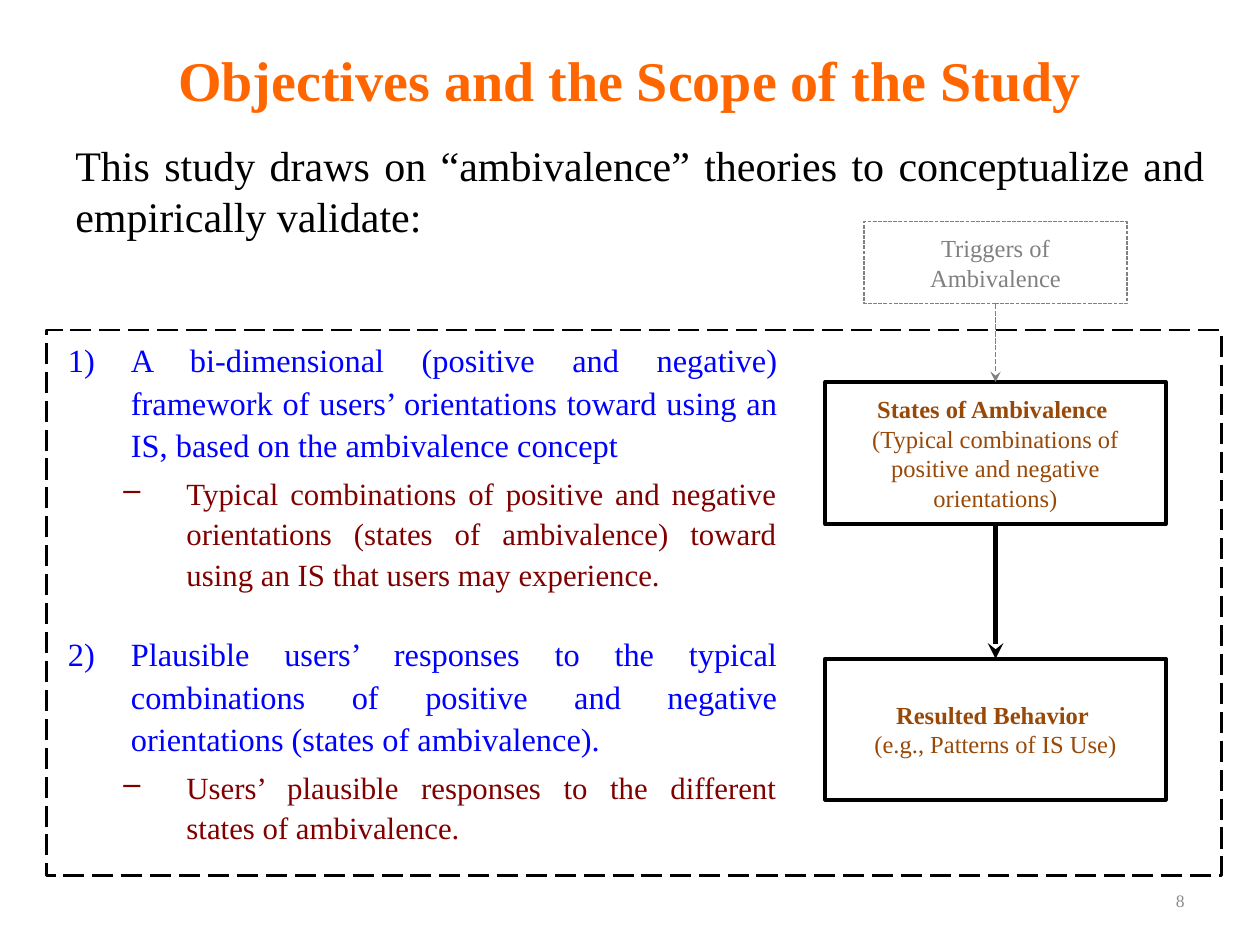
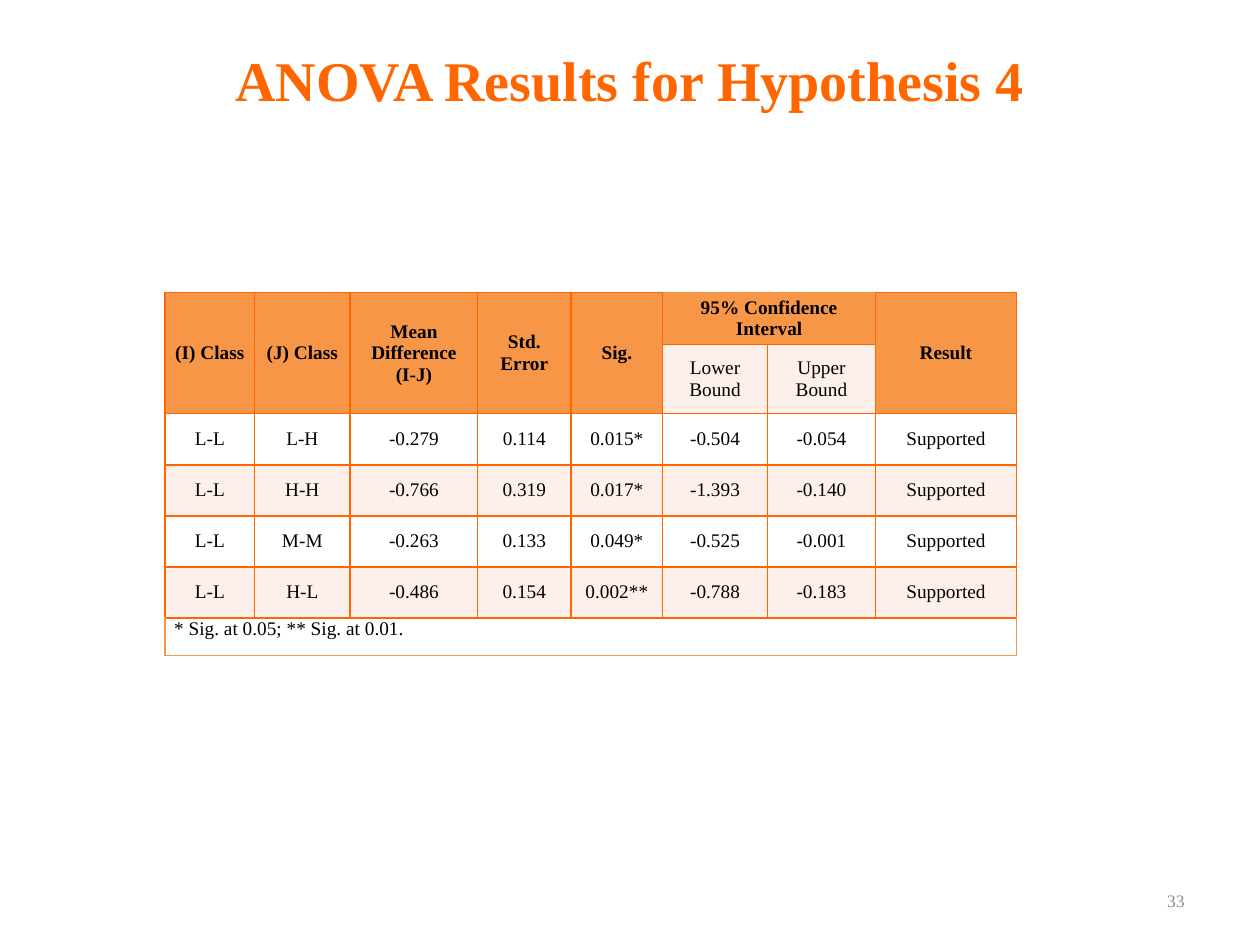
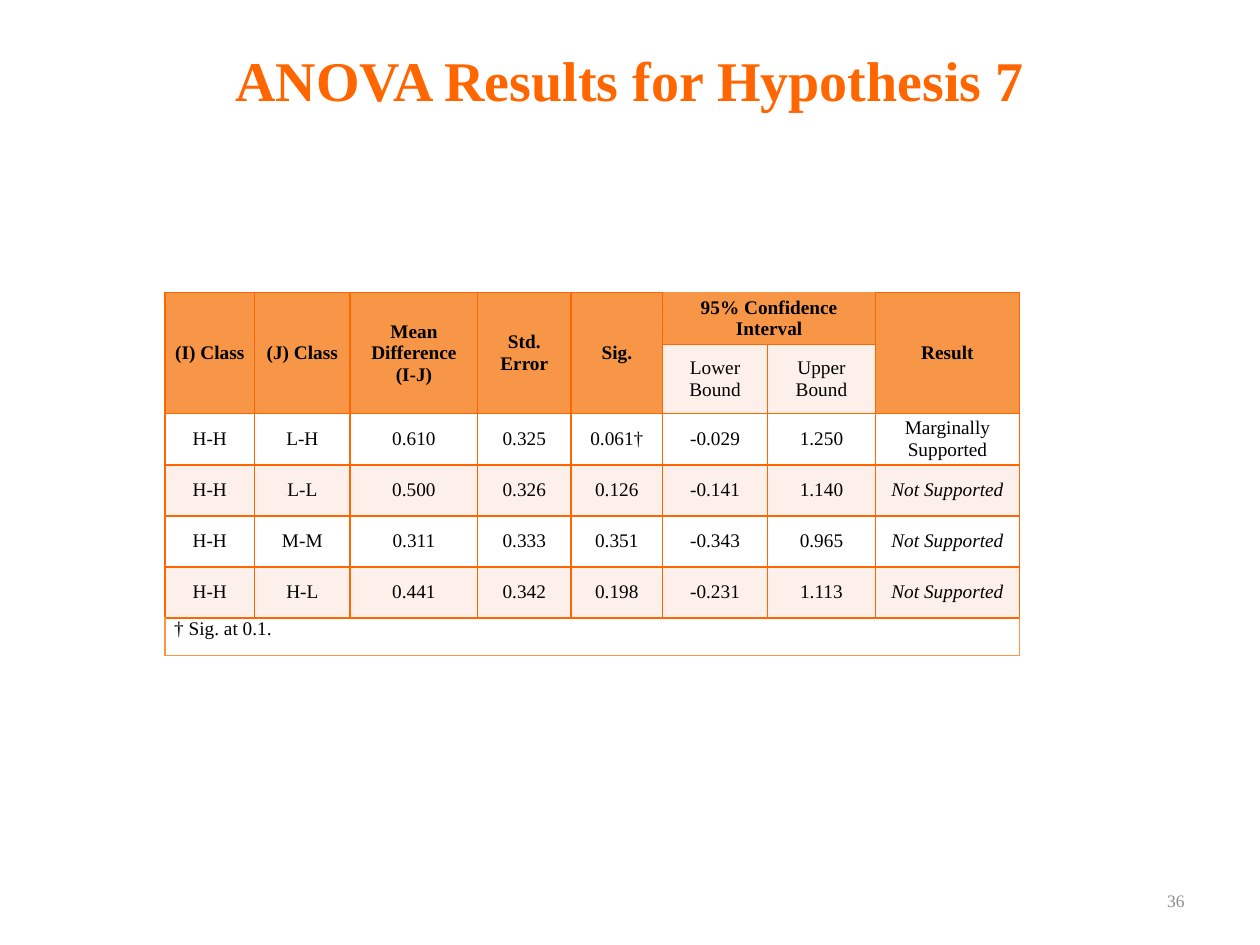
from dataclasses import dataclass, field
from typing import Any, NamedTuple, Optional

from lxml.etree import SubElement
from pptx import Presentation
from pptx.dml.color import RGBColor
from pptx.enum.dml import MSO_LINE
from pptx.enum.shapes import MSO_CONNECTOR, MSO_SHAPE
from pptx.enum.text import MSO_ANCHOR, MSO_AUTO_SIZE, PP_ALIGN
from pptx.oxml.ns import qn
from pptx.util import Cm, Pt


# Theme: colours and type sizes
@dataclass(frozen=True)
class Theme:
    font: str = "Times New Roman"
    orange: str = "FF6600"
    head: str = "F79646"
    tint: str = "FDEFE9"
    white: str = "FFFFFF"
    black: str = "000000"
    grey: str = "808080"
    pale: str = "8C8C8C"
    blue: str = "0000FF"
    maroon: str = "800000"
    brown: str = "984807"
    title: float = 32
    lead: float = 24
    point: float = 18.5
    detail: float = 17.6
    label: float = 14
    cell: float = 11
    page: float = 10


THEME = Theme()


# Records for the repeated elements
class Place(NamedTuple):
    left: float
    top: float
    width: float
    height: float


class Type(NamedTuple):
    size: float
    tone: str
    bold: bool = False
    italic: bool = False


class Pen(NamedTuple):
    tone: str
    width: float
    dash: Optional[MSO_LINE] = None


@dataclass(frozen=True)
class Para:
    text: str
    type: Type
    align: PP_ALIGN = PP_ALIGN.CENTER
    form: dict[str, Any] = field(default_factory=dict)
    bullet: Optional[tuple[str, dict[str, str]]] = None
    indent: float = 0


class Study(NamedTuple):
    title: str
    page: str
    rows: list[list[str]]
    note: str
    last: float


# Shared parts
def apply(target: Any, values: dict[str, Any]) -> None:
    for name, value in values.items():
        setattr(target, name, value)


def cms(values: tuple[float, ...]) -> list[int]:
    return [Cm(value) for value in values]


def write(frame: Any, paras: list[Para], anchor: MSO_ANCHOR) -> None:
    apply(frame, {"word_wrap": True, "vertical_anchor": anchor})
    for index, item in enumerate(paras):
        para = frame.add_paragraph() if index else frame.paragraphs[0]
        apply(para, {"alignment": item.align, **item.form})
        if item.bullet:
            tag, values = item.bullet
            props = para._p.get_or_add_pPr()
            props.set("marL", str(Cm(item.indent)))
            props.set("indent", str(-Cm(1.27)))
            SubElement(props, qn(tag), values)
        run = para.add_run()
        run.text = item.text
        style = item.type
        apply(run.font, {"name": THEME.font, "size": Pt(style.size),
                         "bold": style.bold, "italic": style.italic})
        run.font.color.rgb = RGBColor.from_string(style.tone)


def draw(line: Any, pen: Pen) -> None:
    line.color.rgb = RGBColor.from_string(pen.tone)
    apply(line, {"width": Pt(pen.width), "dash_style": pen.dash})


def note(slide: Any, place: Place, paras: list[Para],
         anchor: MSO_ANCHOR = MSO_ANCHOR.TOP) -> Any:
    box = slide.shapes.add_textbox(*cms(place))
    write(box.text_frame, paras, anchor)
    return box


def block(slide: Any, place: Place, pen: Pen, paras: list[Para]) -> Any:
    shape = slide.shapes.add_shape(MSO_SHAPE.RECTANGLE, *cms(place))
    shape.shadow.inherit = False
    shape.fill.background()
    draw(shape.line, pen)
    if paras:
        write(shape.text_frame, paras, MSO_ANCHOR.MIDDLE)
    return shape


def arrow(slide: Any, start: Any, end: Any, pen: Pen) -> None:
    link = slide.shapes.add_connector(MSO_CONNECTOR.STRAIGHT, 0, 0, 0, 0)
    link.begin_connect(start, 2)
    link.end_connect(end, 0)
    draw(link.line, pen)
    SubElement(link.line._get_or_add_ln(), qn("a:tailEnd"), {"type": "stealth"})
    SubElement(link._element.spPr, qn("a:effectLst"))


def begin(deck: Any, title: str, page: str) -> Any:
    slide = deck.slides.add_slide(deck.slide_layouts[6])
    note(slide, Place(1.27, 0.41, 22.86, 2.36),
         [Para(title, Type(THEME.title, THEME.orange, True))], MSO_ANCHOR.MIDDLE)
    note(slide, Place(18.2, 17.65, 5.93, 1.02),
         [Para(page, Type(THEME.page, THEME.pale), PP_ALIGN.RIGHT)],
         MSO_ANCHOR.MIDDLE)
    return slide


# Slide of objectives
LEAD = ("This study draws on “ambivalence” theories to conceptualize "
        "and empirically validate:")
GOALS = [
    ("A bi-dimensional (positive and negative) framework of users’ orientations "
     "toward using an IS, based on the ambivalence concept",
     "Typical combinations of positive and negative orientations (states of "
     "ambivalence) toward using an IS that users may experience."),
    ("Plausible users’ responses to the typical combinations of positive and "
     "negative orientations (states of ambivalence).",
     "Users’ plausible responses to the different states of ambivalence."),
]
AXIS = 20.07  # centre line of the flow


def goals() -> list[Para]:
    paras = []
    for index, (point, detail) in enumerate(GOALS):
        gap = Pt(21.5 if index else 0)
        paras += [
            Para(point, Type(THEME.point, THEME.blue), PP_ALIGN.JUSTIFY,
                 {"line_spacing": 1.1, "space_before": gap},
                 ("a:buAutoNum", {"type": "arabicParenR"}), 1.42),
            Para(detail, Type(THEME.detail, THEME.maroon), PP_ALIGN.JUSTIFY,
                 {"line_spacing": 1.1, "space_before": Pt(3.6), "level": 1},
                 ("a:buChar", {"char": "–"}), 2.54),
        ]
    return paras


def step(slide: Any, top: float, size: tuple[float, float], pen: Pen,
         paras: list[Para]) -> Any:
    wide, high = size
    return block(slide, Place(AXIS - wide / 2, top, wide, high), pen, paras)


def scope(deck: Any) -> None:
    slide = begin(deck, "Objectives and the Scope of the Study", "8")
    note(slide, Place(0.97, 6.65, 14.94, 11.3), goals())
    lead = note(slide, Place(1.27, 2.69, 23.27, 2.31),
                [Para(LEAD, Type(THEME.lead, THEME.black), PP_ALIGN.JUSTIFY)])
    lead.text_frame.auto_size = MSO_AUTO_SIZE.SHAPE_TO_FIT_TEXT

    # Flow from triggers to behaviour
    faint = Pen(THEME.grey, 0.75, MSO_LINE.SQUARE_DOT)
    solid = Pen(THEME.black, 2.25)
    bold = Type(THEME.label, THEME.brown, True)
    plain = bold._replace(bold=False)
    cause = step(slide, 4.47, (5.3, 1.65), faint,
                 [Para("Triggers of Ambivalence", Type(THEME.label, THEME.grey))])
    state = step(slide, 7.7, (6.86, 2.87), solid, [
        Para("States of Ambivalence ", bold),
        Para("(Typical combinations of positive and negative orientations)", plain)])
    result = step(slide, 13.28, (6.86, 2.84), solid, [
        Para("Resulted Behavior ", bold),
        Para("(e.g., Patterns of IS Use)", plain)])
    arrow(slide, cause, state, faint._replace(width=1))
    arrow(slide, state, result, Pen(THEME.black, 3))
    block(slide, Place(0.94, 6.65, 23.68, 11),
          Pen(THEME.black, 1.5, MSO_LINE.LONG_DASH), [])


# Slides of results
HEADS = ["(I) Class", "(J) Class", "Mean Difference (I-J)", "Std. Error", "Sig.",
         "95% Confidence Interval", "", "Result"]
BOUNDS = ["", "", "", "", "", "Lower Bound", "Upper Bound", ""]
COLS = (1.8, 1.93, 2.57, 1.88, 1.85, 2.11, 2.18)
ROWS = (1.04, 1.28, 1.03, 1.03, 1.03, 1.03, 0.76)
STUDIES = [
    Study("ANOVA Results for Hypothesis 4", "33", [
        ["L-L", "L-H", "-0.279", "0.114", "0.015*", "-0.504", "-0.054", "Supported"],
        ["L-L", "H-H", "-0.766", "0.319", "0.017*", "-1.393", "-0.140", "Supported"],
        ["L-L", "M-M", "-0.263", "0.133", "0.049*", "-0.525", "-0.001", "Supported"],
        ["L-L", "H-L", "-0.486", "0.154", "0.002**", "-0.788", "-0.183", "Supported"],
    ], "* Sig. at 0.05; ** Sig. at 0.01.", 2.84),
    Study("ANOVA Results for Hypothesis 7", "36", [
        ["H-H", "L-H", "0.610", "0.325", "0.061†", "-0.029", "1.250",
         "Marginally Supported"],
        ["H-H", "L-L", "0.500", "0.326", "0.126", "-0.141", "1.140", "Not Supported"],
        ["H-H", "M-M", "0.311", "0.333", "0.351", "-0.343", "0.965", "Not Supported"],
        ["H-H", "H-L", "0.441", "0.342", "0.198", "-0.231", "1.113", "Not Supported"],
    ], "† Sig. at 0.1.", 2.9),
]


def edge(cell: Any, tones: dict[str, str]) -> None:
    props = cell._tc.get_or_add_tcPr()
    for side in "LRTB":
        line = SubElement(props, qn(f"a:ln{side}"), {"w": str(Pt(1))})
        fill = SubElement(line, qn("a:solidFill"))
        SubElement(fill, qn("a:srgbClr"), {"val": tones.get(side, THEME.orange)})


def fill(cell: Any, text: str, row: int, col: int) -> None:
    foot = row == len(ROWS) - 1
    head = row == 0 or (row == 1 and col not in (5, 6))
    tones = dict.fromkeys("LRB", THEME.head) if foot else {}
    if row == 0 and col in (5, 6):
        tones = {"T": THEME.head}
    edge(cell, tones)
    shade = THEME.head if head else THEME.tint if row % 2 else THEME.white
    cell.fill.solid()
    cell.fill.fore_color.rgb = RGBColor.from_string(shade)
    apply(cell, {"margin_left": Cm(0.18), "margin_right": Cm(0.18),
                 "margin_top": 0, "margin_bottom": 0})
    if text:
        style = Type(THEME.cell, THEME.black, head, text == "Not Supported")
        align = PP_ALIGN.LEFT if foot else PP_ALIGN.CENTER
        write(cell.text_frame, [Para(text, style, align)], MSO_ANCHOR.TOP)
        cell.vertical_anchor = MSO_ANCHOR.TOP if foot else MSO_ANCHOR.MIDDLE


def anova(deck: Any, study: Study) -> None:
    slide = begin(deck, study.title, study.page)
    cols = (*COLS, study.last)
    grid = [HEADS, BOUNDS, *study.rows, [study.note] + [""] * (len(cols) - 1)]
    place = Place(3.33, 5.9, sum(cols), sum(ROWS))
    table = slide.shapes.add_table(len(ROWS), len(cols), *cms(place)).table
    apply(table, {"first_row": False, "horz_banding": False})
    for col, width in zip(table.columns, cols):
        col.width = Cm(width)
    for row, height in zip(table.rows, ROWS):
        row.height = Cm(height)
    for row, texts in enumerate(grid):
        for col, text in enumerate(texts):
            fill(table.cell(row, col), text, row, col)

    # Merged headings and footnote
    for col in (0, 1, 2, 3, 4, 7):
        table.cell(0, col).merge(table.cell(1, col))
    table.cell(0, 5).merge(table.cell(0, 6))
    end = len(ROWS) - 1
    table.cell(end, 0).merge(table.cell(end, len(cols) - 1))


def main() -> None:
    deck = Presentation()
    apply(deck, {"slide_width": Cm(25.4), "slide_height": Cm(19.05)})
    scope(deck)
    for study in STUDIES:
        anova(deck, study)
    deck.save("out.pptx")


if __name__ == "__main__":
    main()
